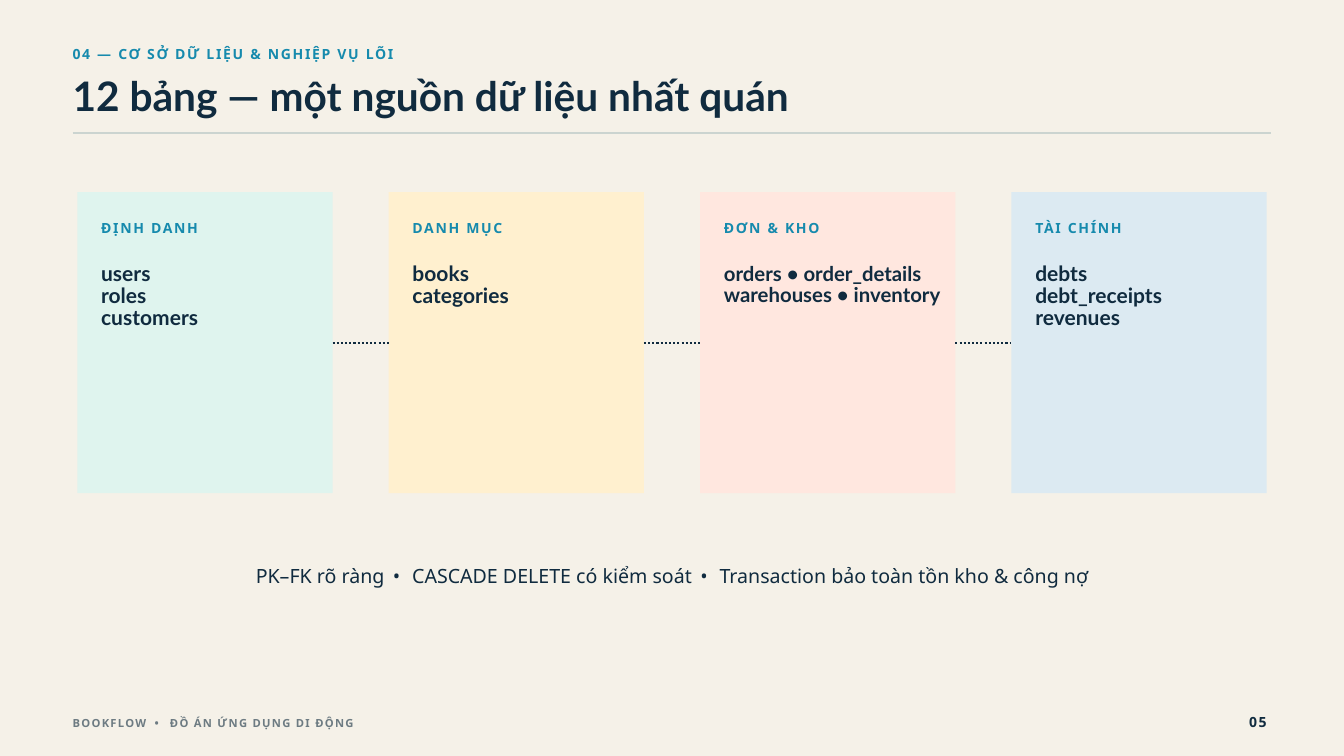
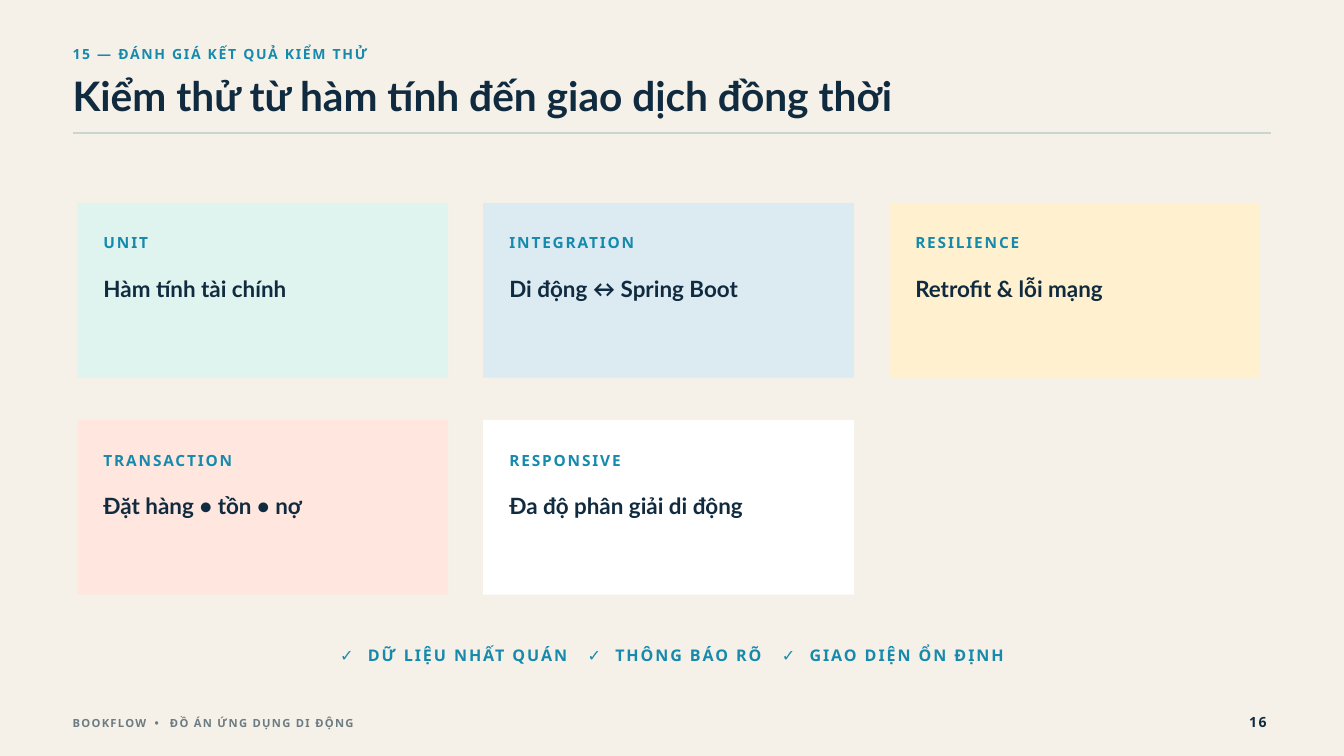
from collections import namedtuple

from lxml import etree
from pptx import Presentation
from pptx.dml.color import RGBColor
from pptx.enum.dml import MSO_LINE
from pptx.enum.shapes import MSO_CONNECTOR, MSO_SHAPE
from pptx.enum.text import MSO_AUTO_SIZE, PP_ALIGN
from pptx.oxml.ns import qn
from pptx.util import Inches, Pt

RECT, STRAIGHT = MSO_SHAPE.RECTANGLE, MSO_CONNECTOR.STRAIGHT
LEFT, CENTER, RIGHT = PP_ALIGN.LEFT, PP_ALIGN.CENTER, PP_ALIGN.RIGHT
DOTTED, FIT = MSO_LINE.ROUND_DOT, MSO_AUTO_SIZE.SHAPE_TO_FIT_TEXT

W, H = 20, 11.25
HEADING, BODY = "Lato", "Noto Sans"
PAPER, INK, TEAL, GREY, RULE = "F5F1E8", "102B3F", "168AAD", "6D7B82", "CBD4D0"
MINT, SAND, ROSE, SKY, WHITE = "DFF4EE", "FFF0CF", "FFE7DF", "DCEAF2", "FFFFFF"

Box = namedtuple("Box", "x y w h")
CardStyle = namedtuple("CardStyle", "pad label_y body_y text_w label_size track body_size")

TABLE_STYLE = CardStyle(0.355, 0.37, 1.07, 3.44, 15, 1.8, 22.5)
TEST_STYLE = CardStyle(0.39, 0.41, 1.12, 4.69, 16.5, 2, 24)

TABLES = [
    ("ĐỊNH DANH", ["users", "roles", "customers"], MINT, 22.5),
    ("DANH MỤC", ["books", "categories"], SAND, 22.5),
    ("ĐƠN & KHO", ["orders • order_details", "warehouses • inventory"], ROSE, 21.8),
    ("TÀI CHÍNH", ["debts", "debt_receipts", "revenues"], SKY, 22.5),
]
TESTS = [
    ("UNIT", "Hàm tính tài chính", MINT),
    ("INTEGRATION", "Di động ↔ Spring Boot", SKY),
    ("RESILIENCE", "Retrofit & lỗi mạng", SAND),
    ("TRANSACTION", "Đặt hàng • tồn • nợ", ROSE),
    ("RESPONSIVE", "Đa độ phân giải di động", WHITE),
]
RULES = ["PK–FK rõ ràng", "CASCADE DELETE có kiểm soát",
         "Transaction bảo toàn tồn kho & công nợ"]
RESULTS = ["DỮ LIỆU NHẤT QUÁN", "THÔNG BÁO RÕ", "GIAO DIỆN ỔN ĐỊNH"]
CREDITS = ["BOOKFLOW", "ĐỒ ÁN ỨNG DỤNG DI ĐỘNG"]


def rgb(value):
    """Turn a hex string into a colour."""
    return RGBColor.from_string(value)


def grid(area, cols, rows, gap_x, gap_y=0):
    """Split an area into equal cells, row by row."""
    w = (area.w - gap_x * (cols - 1)) / cols
    h = (area.h - gap_y * (rows - 1)) / rows
    return [Box(area.x + c * (w + gap_x), area.y + r * (h + gap_y), w, h)
            for r in range(rows) for c in range(cols)]


def bulleted(items, track, gap):
    """Join items with widely tracked bullets, as (text, tracking) runs."""
    runs = [(items[0], track)]
    for item in items[1:]:
        runs += [(" • ", gap), (item, track)]
    return runs


def ticked(items, track, tick_gap, item_gap):
    """Put a tick before each item, as (text, tracking) runs."""
    runs = []
    for item in items:
        if runs:
            runs.append((" ", item_gap))
        runs += [("✓ ", tick_gap), (item, track)]
    return runs


def add_text(shapes, box, lines, size=15, font=BODY, color=INK, bold=True,
             track=0, leading=1.4, align=LEFT):
    """Add a text box; each line is a string or a list of tracked runs."""
    tf = shapes.add_textbox(*map(Inches, box)).text_frame
    tf.word_wrap = True
    tf.auto_size = FIT
    tf.margin_left = tf.margin_right = tf.margin_top = tf.margin_bottom = 0
    for i, line in enumerate(lines):
        p = tf.add_paragraph() if i else tf.paragraphs[0]
        p.alignment = align
        p.line_spacing = Pt(round(size * leading, 1))
        for text, spacing in [(line, track)] if isinstance(line, str) else line:
            r = p.add_run()
            r.text = text
            r.font.name, r.font.size, r.font.bold = font, Pt(size), bold
            r.font.color.rgb = rgb(color)
            if spacing:
                r.font._element.set("spc", str(round(spacing * 100)))


def add_rule(shapes, x1, x2, y, color, width, dash=None):
    """Draw a horizontal line."""
    line = shapes.add_connector(STRAIGHT, *map(Inches, (x1, y, x2, y)))
    line.line.color.rgb = rgb(color)
    line.line.width = Pt(width)
    if dash:
        line.line.dash_style = dash
    etree.SubElement(line._element.spPr, qn("a:effectLst"))


def add_card(s, box, label, lines, fill, style, body_size):
    """Add a coloured panel with a label and its lines."""
    shapes = s.shapes.add_group_shape().shapes
    panel = shapes.add_shape(RECT, *map(Inches, box))
    panel.shadow.inherit = False
    panel.fill.solid()
    panel.fill.fore_color.rgb = rgb(fill)
    panel.line.fill.background()
    x = box.x + style.pad
    add_text(shapes, Box(x, box.y + style.label_y, style.text_w, 0.3), [label],
             size=style.label_size, color=TEAL, track=style.track)
    add_text(shapes, Box(x, box.y + style.body_y, style.text_w, 0.33 * len(lines)), lines,
             size=body_size, font=HEADING, leading=1.05)


def add_header(s, box, section, title):
    """Add the section line, the title and the rule below."""
    shapes = s.shapes.add_group_shape().shapes
    add_text(shapes, Box(box.x, box.y, 9.38, 0.27), [section], color=TEAL, track=1.8)
    add_text(shapes, Box(box.x, box.y + 0.51, 15.62, 0.66), [title],
             size=43.5, font=HEADING, leading=1.05)
    add_rule(shapes, box.x, box.x + box.w, box.y + box.h, RULE, 2)


def add_footer(s, box, number):
    """Add the project line and the page number."""
    shapes = s.shapes.add_group_shape().shapes
    add_text(shapes, Box(box.x, box.y + 0.05, 9.38, 0.21), [bulleted(CREDITS, 1.4, 4.4)],
             size=12, color=GREY)
    add_text(shapes, Box(box.x + box.w - 1.04, box.y, 1.04, box.h), [number],
             track=1.8, align=RIGHT)


def add_base(prs, section, title, number):
    """Add a blank slide with background, header and footer."""
    s = prs.slides.add_slide(prs.slide_layouts[6])
    s.background.fill.solid()
    s.background.fill.fore_color.rgb = rgb(PAPER)
    add_header(s, Box(1.08, 0.64, 17.84, 1.34), section, title)
    add_footer(s, Box(1.08, 10.58, 17.77, 0.27), number)
    return s


def add_tables_slide(prs):
    """Add the slide on the database tables."""
    s = add_base(prs, "04 — CƠ SỞ DỮ LIỆU & NGHIỆP VỤ LÕI",
                 "12 bảng — một nguồn dữ liệu nhất quán", "05")
    cells = grid(Box(1.15, 2.86, 17.7, 4.48), len(TABLES), 1, 0.835)
    for cell, (label, names, fill, size) in zip(cells, TABLES):
        add_card(s, cell, label, names, fill, TABLE_STYLE, size)
    for a, b in zip(cells, cells[1:]):
        add_rule(s.shapes, a.x + a.w, b.x, a.y + a.h / 2, INK, 2.25, DOTTED)
    add_text(s.shapes, Box(2.29, 8.35, W - 2 * 2.29, 0.37), [bulleted(RULES, 0, 3.6)],
             size=21, bold=False, leading=1.35, align=CENTER)


def add_tests_slide(prs):
    """Add the slide on the test results."""
    s = add_base(prs, "15 — ĐÁNH GIÁ KẾT QUẢ KIỂM THỬ",
                 "Kiểm thử từ hàm tính đến giao dịch đồng thời", "16")
    cells = grid(Box(1.15, 3.02, 17.6, 5.83), 3, 2, 0.52, 0.63)
    for cell, (label, scope, fill) in zip(cells, TESTS):
        add_card(s, cell, label, [scope], fill, TEST_STYLE, TEST_STYLE.body_size)
    add_text(s.shapes, Box(3.12, 9.55, W - 2 * 3.12, 0.32), [ticked(RESULTS, 2.1, 5.4, 15.2)],
             size=17.2, color=TEAL, align=CENTER)


def main():
    """Build and save the deck."""
    prs = Presentation()
    prs.slide_width, prs.slide_height = Inches(W), Inches(H)
    add_tables_slide(prs)
    add_tests_slide(prs)
    prs.save("out.pptx")


if __name__ == "__main__":
    main()
